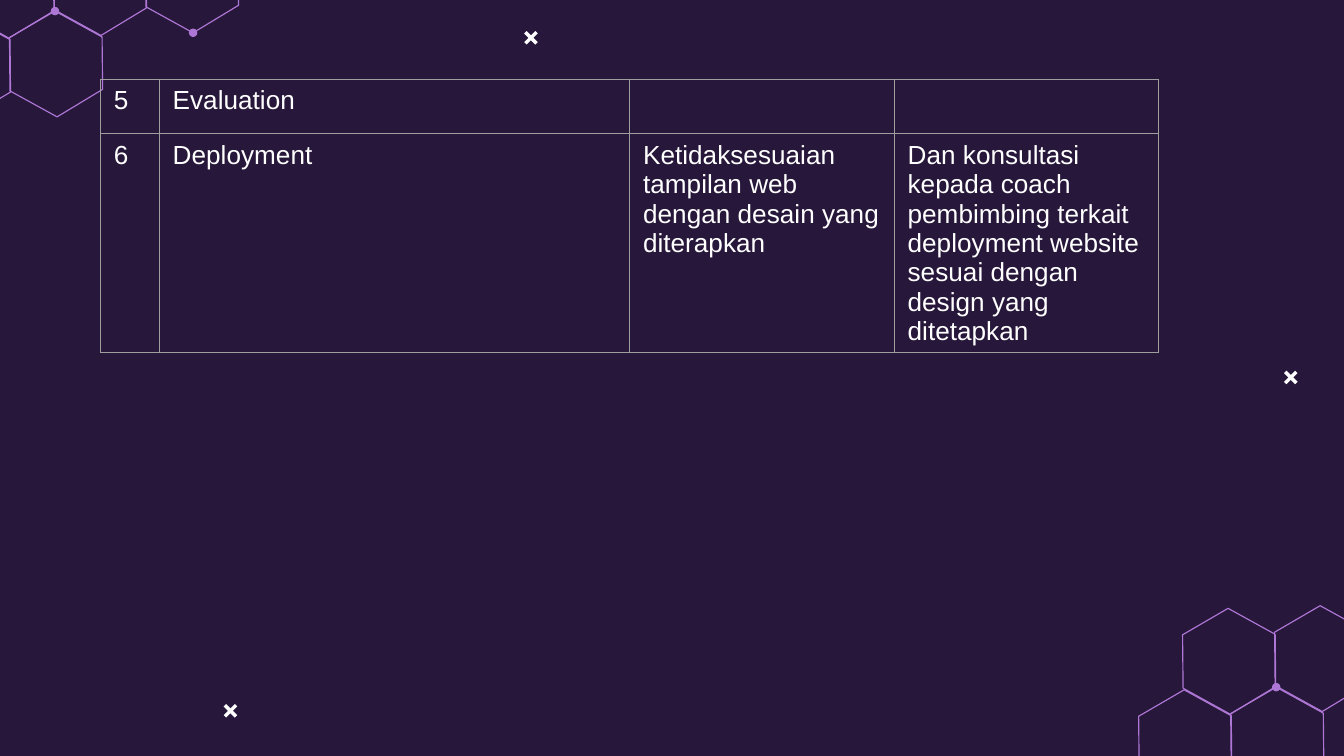
from dataclasses import dataclass

from lxml import etree
from pptx import Presentation
from pptx.dml.color import RGBColor
from pptx.enum.shapes import MSO_CONNECTOR, MSO_SHAPE
from pptx.oxml.ns import qn
from pptx.util import Cm, Pt


@dataclass(frozen=True)
class Theme:
    background: str = "27173A"
    accent: str = "AE77D6"
    text: str = "FFFFFF"
    border: str = "9E9E9E"
    font: str = "Arial"
    body_size: float = 14
    hexagon_line: float = 0.61
    cross_line: float = 1.84
    border_line: float = 0.75


# All lengths are in centimetres.
HEXAGON = [(0.88, 0.48), (0.87, -0.51), (-0.02, -1), (-0.88, -0.5), (-0.87, 0.51), (0.02, 1)]
COLUMN_STEP = (1.74, -0.05)
ROW_STEP = (0.91, 1.49)
TOP_VERTEX, BOTTOM_VERTEX = 2, 5
NODE_SIZE = 0.16
CROSS_SIZE = 0.21

# Origin of each honeycomb, its (column, row) cells, and its nodes as (column, row, vertex).
HONEYCOMBS = [
    ((0.15, -0.28), [(0, 0), (1, 0), (2, 0), (-1, 1), (0, 1)],
     [(0, 1, TOP_VERTEX), (2, 0, BOTTOM_VERTEX)]),
    ((23.23, 12.5), [(0, 0), (1, 0), (-1, 1), (0, 1)], [(0, 1, TOP_VERTEX)]),
]
CROSSES = [(4.25, 13.33), (24.29, 7.03), (9.93, 0.61)]

COLUMN_WIDTHS = [1.11, 8.89, 5, 5]
ROW_HEIGHTS = [1.03, 4.14]
STAGES = [
    ["5", "Evaluation", "", ""],
    ["6", "Deployment",
     "Ketidaksesuaian tampilan web dengan desain yang diterapkan",
     "Dan konsultasi kepada coach pembimbing terkait deployment website "
     "sesuai dengan design yang ditetapkan"],
]


def color(value):
    return RGBColor.from_string(value)


def hexagon_points(origin, column, row):
    """Return the corners of one honeycomb cell, placed by its lattice steps."""
    x, y = (start + column * across + row * down
            for start, across, down in zip(origin, COLUMN_STEP, ROW_STEP))
    return [(Cm(x + dx), Cm(y + dy)) for dx, dy in HEXAGON]


class SlideBuilder:
    def __init__(self, slide, theme):
        self.slide = slide
        self.theme = theme

    def background(self):
        fill = self.slide.background.fill
        fill.solid()
        fill.fore_color.rgb = color(self.theme.background)

    def hexagon(self, points):
        outline = self.slide.shapes.build_freeform(*points[0])
        outline.add_line_segments(points[1:], close=True)
        cell = outline.convert_to_shape()
        cell.shadow.inherit = False
        cell.fill.background()
        cell.line.color.rgb = color(self.theme.accent)
        cell.line.width = Pt(self.theme.hexagon_line)

    def node(self, x, y):
        size = Cm(NODE_SIZE)
        dot = self.slide.shapes.add_shape(
            MSO_SHAPE.OVAL, x - size // 2, y - size // 2, size, size)
        dot.shadow.inherit = False
        dot.fill.solid()
        dot.fill.fore_color.rgb = color(self.theme.accent)
        dot.line.fill.background()

    def honeycomb(self, origin, cells, nodes):
        for column, row in cells:
            self.hexagon(hexagon_points(origin, column, row))
        for column, row, vertex in nodes:
            self.node(*hexagon_points(origin, column, row)[vertex])

    def cross(self, left, top):
        upper, lower = Cm(top), Cm(top + CROSS_SIZE)
        for start, end in [(lower, upper), (upper, lower)]:
            stroke = self.slide.shapes.add_connector(
                MSO_CONNECTOR.STRAIGHT, Cm(left), start, Cm(left + CROSS_SIZE), end)
            stroke.line.color.rgb = color(self.theme.text)
            stroke.line.width = Pt(self.theme.cross_line)
            etree.SubElement(stroke._element.spPr, qn("a:effectLst"))

    def cell_borders(self, cell):
        properties = cell._tc.get_or_add_tcPr()
        for position, side in enumerate(["lnL", "lnR", "lnT", "lnB"]):
            border = etree.Element(qn(f"a:{side}"), w=str(Pt(self.theme.border_line)))
            fill = etree.SubElement(border, qn("a:solidFill"))
            etree.SubElement(fill, qn("a:srgbClr"), val=self.theme.border)
            properties.insert(position, border)

    def table(self, left, top, rows):
        table = self.slide.shapes.add_table(
            len(rows), len(COLUMN_WIDTHS), Cm(left), Cm(top),
            Cm(sum(COLUMN_WIDTHS)), Cm(sum(ROW_HEIGHTS))).table
        table.first_row = table.horz_banding = False
        for column, width in zip(table.columns, COLUMN_WIDTHS):
            column.width = Cm(width)
        font_format = {"name": self.theme.font, "size": Pt(self.theme.body_size)}
        for row, height, texts in zip(table.rows, ROW_HEIGHTS, rows):
            row.height = Cm(height)
            for cell, text in zip(row.cells, texts):
                cell.fill.background()
                self.cell_borders(cell)
                if not text:
                    continue
                run = cell.text_frame.paragraphs[0].add_run()
                run.text = text
                for attribute, value in font_format.items():
                    setattr(run.font, attribute, value)
                run.font.color.rgb = color(self.theme.text)


def main():
    presentation = Presentation()
    presentation.slide_width = Cm(25.4)
    presentation.slide_height = Cm(14.29)
    blank_layout = presentation.slide_layouts[6]
    builder = SlideBuilder(presentation.slides.add_slide(blank_layout), Theme())

    builder.background()
    for honeycomb in HONEYCOMBS:
        builder.honeycomb(*honeycomb)
    for corner in CROSSES:
        builder.cross(*corner)
    builder.table(1.9, 1.5, STAGES)

    presentation.save("out.pptx")


if __name__ == "__main__":
    main()
